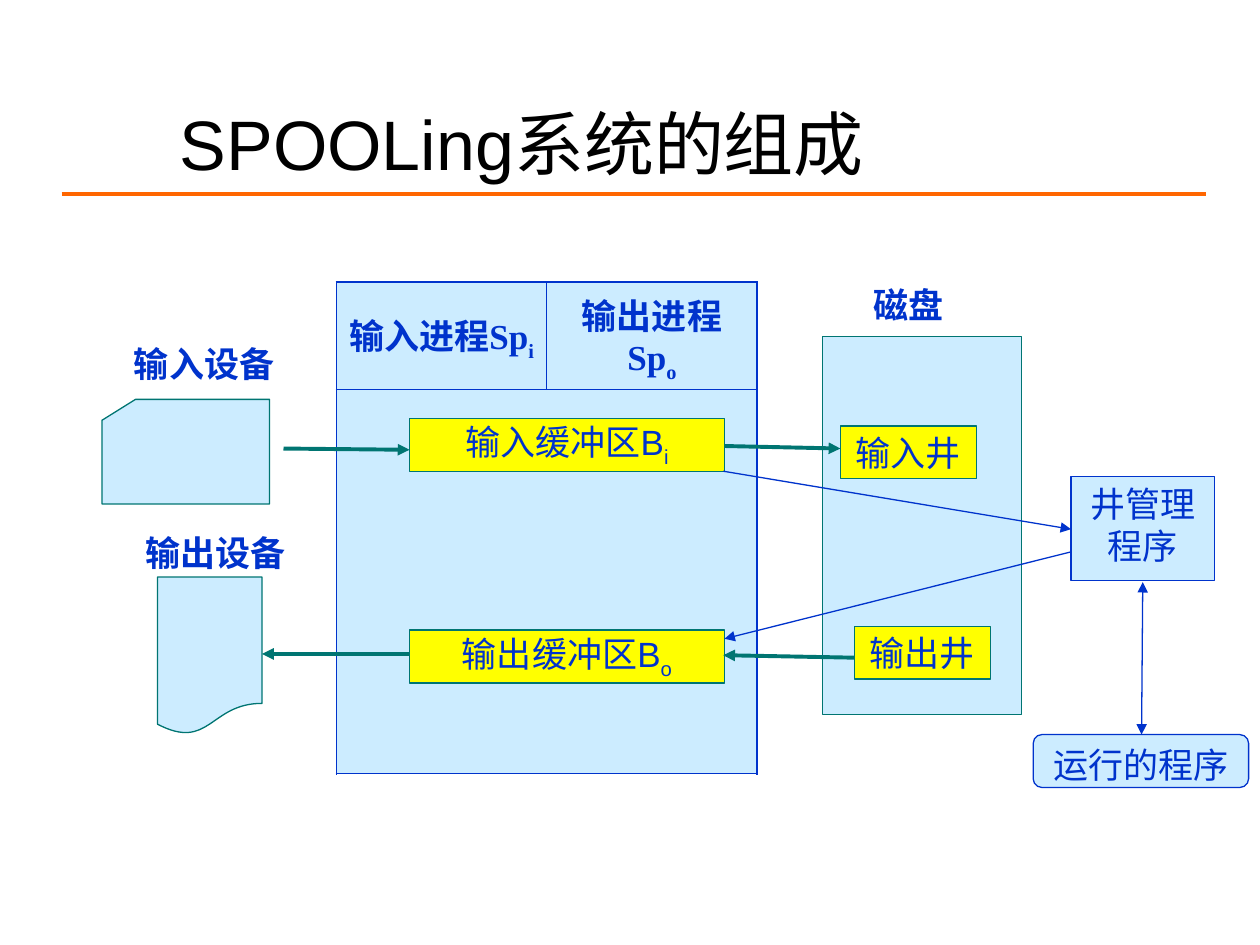
import pptx
import pptx.util
import pptx.dml.color
import pptx.enum.shapes
import pptx.enum.text
import pptx.oxml
import pptx.oxml.ns
import lxml.etree

Inches = pptx.util.Inches
SHAPE = pptx.enum.shapes.MSO_SHAPE
ANCHOR = pptx.enum.text.MSO_ANCHOR
ALIGN = pptx.enum.text.PP_ALIGN
BLUE, GREEN, PALE = "0033CC", "007572", "CCECFF"
YELLOW, ORANGE, BLACK = "FFFF00", "FF6600", "000000"


def paint(color, code):
    color.rgb = pptx.dml.color.RGBColor.from_string(code)


def add_tag(parent, name, **attrs):
    tag = lxml.etree.SubElement(parent, pptx.oxml.ns.qn(name))
    for key, value in attrs.items():
        tag.set(key, value)
    return tag


def write(frame, text, sub="", size=20, color=BLUE, font="Arial",
          bold=False, align=ALIGN.CENTER):
    """Fill a text frame with one paragraph, ending in an optional subscript."""
    para = frame.paragraphs[0]
    para.alignment = align
    para.font.size = pptx.util.Pt(size)
    para.font.name = font
    para.font.bold = bold
    paint(para.font.color, color)
    para.add_run().text = text
    if sub:
        run = para.add_run()
        run.text = sub
        run.font._element.set("baseline", "-25000")


def add_box(slide, kind, place, fill, edge, text="", sub="",
            anchor=ANCHOR.MIDDLE, wrap=False):
    box = slide.shapes.add_shape(kind, *map(Inches, place))
    box.shadow.inherit = False
    box.fill.solid()
    paint(box.fill.fore_color, fill)
    paint(box.line.color, edge)
    box.line.width = pptx.util.Pt(0.75)
    if text:
        frame = box.text_frame
        frame.word_wrap = wrap
        frame.vertical_anchor = anchor
        write(frame, text, sub)
    return box


def add_label(slide, place, text, anchor=ANCHOR.TOP, **style):
    frame = slide.shapes.add_textbox(*map(Inches, place)).text_frame
    frame.word_wrap = True
    frame.vertical_anchor = anchor
    write(frame, text, **style)


def add_line(slide, start, end, color, width, head=False, tail=False):
    line = slide.shapes.add_connector(
        pptx.enum.shapes.MSO_CONNECTOR.STRAIGHT,
        *map(Inches, start + end))
    paint(line.line.color, color)
    line.line.width = pptx.util.Pt(width)
    pen = line.line._get_or_add_ln()
    if head:
        add_tag(pen, "a:headEnd", type="triangle")
    if tail:
        add_tag(pen, "a:tailEnd", type="triangle")
    add_tag(line._element.spPr, "a:effectLst")


def style_cell(cell, thick):
    """Fill a cell and rule its sides, those named in thick more heavily."""
    props = cell._tc.get_or_add_tcPr()
    for side in "LRTB":
        width = pptx.util.Pt(1.08 if side in thick else 0.45)
        edge = add_tag(props, "a:ln" + side, w=str(width))
        add_tag(add_tag(edge, "a:solidFill"), "a:srgbClr", val=BLUE)
    cell.fill.solid()
    paint(cell.fill.fore_color, PALE)
    cell.vertical_anchor = ANCHOR.MIDDLE


def add_memory(slide):
    """Table of the two processes above the shared memory area."""
    place = (2.67, 2.24, 3.33, 3.86)
    table = slide.shapes.add_table(2, 2, *map(Inches, place)).table
    table.first_row = table.horz_banding = False
    for row, height in zip(table.rows, (0.85, 3.05)):
        row.height = Inches(height)
    for col in table.columns:
        col.width = Inches(1.67)
    table.cell(1, 0).merge(table.cell(1, 1))
    for cell, thick in zip(table.iter_cells(), ("LT", "TR", "LRB", "LRB")):
        style_cell(cell, thick)
    for col, (text, sub) in enumerate((("输入进程Sp", "i"),
                                       ("输出进程Sp", "o"))):
        write(table.cell(0, col).text_frame, text, sub,
              font="Times New Roman", bold=True)


def main():
    deck = pptx.Presentation()
    deck.slide_width, deck.slide_height = Inches(10), Inches(7.5)
    slide = deck.slides.add_slide(deck.slide_layouts[6])

    add_line(slide, (0.49, 1.54), (9.57, 1.54), ORANGE, 2.25)
    add_label(slide, (1.33, 0.66, 7.17, 0.94), "SPOOLing系统的组成",
              ANCHOR.MIDDLE, size=40, color=BLACK, align=ALIGN.LEFT)

    add_box(slide, SHAPE.FLOWCHART_CARD, (0.81, 3.17, 1.33, 0.83),
            PALE, GREEN)
    add_box(slide, SHAPE.FLOWCHART_DOCUMENT, (1.25, 4.58, 0.83, 1.25),
            PALE, GREEN)
    add_memory(slide)
    add_box(slide, SHAPE.RECTANGLE, (6.53, 2.67, 1.58, 3), PALE, GREEN)

    for left, top, width, text, sub in (
            (6.67, 3.38, 1.08, "输入井", ""),
            (6.78, 4.97, 1.08, "输出井", ""),
            (3.25, 3.32, 2.5, "输入缓冲区B", "i"),
            (3.25, 5, 2.5, "输出缓冲区B", "o")):
        add_box(slide, SHAPE.RECTANGLE, (left, top, width, 0.42),
                YELLOW, GREEN, text, sub)

    for left, top, text in ((0.83, 2.67, "输入设备"),
                            (0.92, 4.17, "输出设备"),
                            (6.42, 2.2, "磁盘")):
        add_label(slide, (left, top, 1.58, 0.43), text, bold=True)

    for start, end, back in (((2.25, 3.56), (3.25, 3.57), False),
                             ((5.75, 3.54), (6.67, 3.56), False),
                             ((2.08, 5.19), (3.25, 5.19), True),
                             ((5.74, 5.2), (6.78, 5.22), True)):
        add_line(slide, start, end, GREEN, 2.25, head=back, tail=not back)

    add_box(slide, SHAPE.RECTANGLE, (8.5, 3.78, 1.14, 0.83), PALE, BLUE,
            "井管理程序", anchor=ANCHOR.TOP, wrap=True)
    add_box(slide, SHAPE.ROUNDED_RECTANGLE, (8.2, 5.83, 1.71, 0.42), PALE,
            BLUE, "运行的程序", anchor=ANCHOR.TOP, wrap=True)
    for start, end, both in (((5.74, 3.74), (8.5, 4.2), False),
                             ((8.5, 4.38), (5.75, 5.07), False),
                             ((9.07, 4.62), (9.06, 5.83), True)):
        add_line(slide, start, end, BLUE, 0.75, head=both, tail=True)

    deck.save("out.pptx")


if __name__ == "__main__":
    main()
